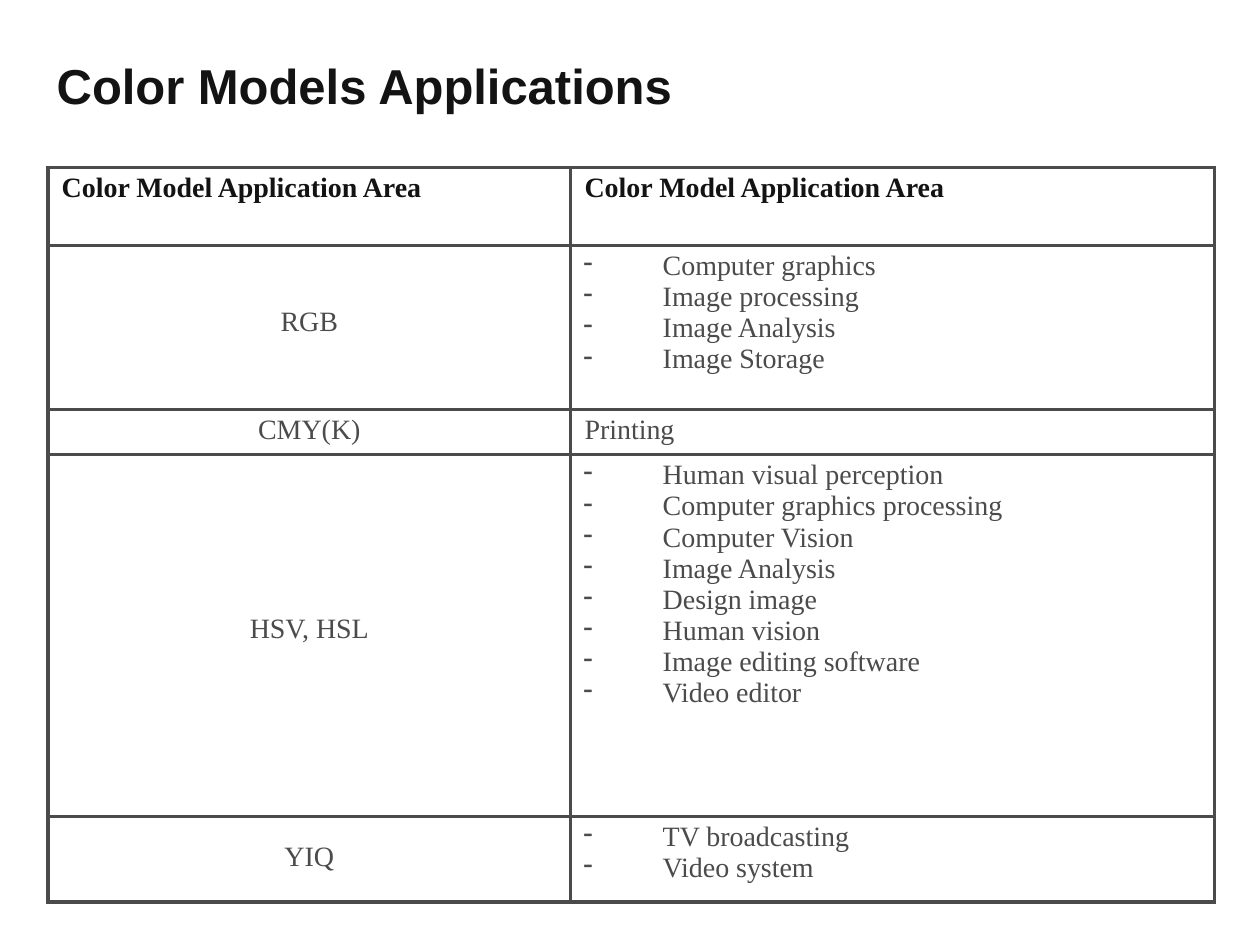
"""Build a slide with a table of color models and their application areas."""
import pptx
import pptx.dml.color
import pptx.enum.text
import pptx.oxml
import pptx.oxml.ns
import pptx.util
from lxml import etree
from pptx.util import Inches

COLORS = {"heading": "131313", "body": "4B4B4B", "border": "4B4B4B"}
FORMATS = {
    "title": {"name": "Arial", "size": pptx.util.Pt(28), "bold": True},
    "heading": {"name": "Times New Roman", "size": pptx.util.Pt(16), "bold": True},
    "body": {"name": "Times New Roman", "size": pptx.util.Pt(16), "bold": False},
}
NAMESPACE = pptx.oxml.ns.nsdecls("a")
HEADING = "Color Model Application Area"
MODELS = [
    ("RGB", 1.3, 0.48, ["Computer graphics", "Image processing",
                        "Image Analysis", "Image Storage"]),
    ("CMY(K)", 0.36, 0.04, ["Printing"]),
    ("HSV, HSL", 2.87, 1.26, ["Human visual perception", "Computer graphics processing",
                              "Computer Vision", "Image Analysis", "Design image",
                              "Human vision", "Image editing software", "Video editor"]),
    ("YIQ", 0.68, 0.2, ["TV broadcasting", "Video system"]),
]


def write(paragraph, text, style, color, left=0, bullet=False):
    properties = paragraph._p.get_or_add_pPr()
    properties.set("marL", str(Inches(left)))
    properties.set("indent", str(Inches(-0.63 if bullet else 0)))
    if bullet:
        properties.append(pptx.oxml.parse_xml(
            f'<a:buClr {NAMESPACE}><a:srgbClr val="{COLORS[color]}"/></a:buClr>'))
        etree.SubElement(properties, pptx.oxml.ns.qn("a:buChar"), char="-")
    run = paragraph.add_run()
    run.text = text
    for attribute, value in FORMATS[style].items():
        setattr(run.font, attribute, value)
    run.font.color.rgb = pptx.dml.color.RGBColor.from_string(COLORS[color])


def prepare(cell, top):
    margins = {"margin_left": 0, "margin_right": 0, "margin_bottom": 0,
               "margin_top": Inches(top)}
    for attribute, value in margins.items():
        setattr(cell, attribute, value)
    properties = cell._tc.get_or_add_tcPr()
    for side in "LRTB":
        properties.append(pptx.oxml.parse_xml(
            f'<a:ln{side} {NAMESPACE} w="{pptx.util.Pt(2.25)}"><a:solidFill>'
            f'<a:srgbClr val="{COLORS["border"]}"/></a:solidFill></a:ln{side}>'))
    cell.fill.background()


presentation = pptx.Presentation()
presentation.slide_width = Inches(10)
presentation.slide_height = Inches(7.5)
slide = presentation.slides.add_slide(presentation.slide_layouts[6])

heights = [0.62] + [height for _, height, _, _ in MODELS]
widths = [4.15, 5.11]
models_table = slide.shapes.add_table(
    len(heights), len(widths), Inches(0.38), Inches(1.33),
    Inches(sum(widths)), Inches(sum(heights))).table
models_table.first_row = False
models_table.horz_banding = False
for column, width in zip(models_table.columns, widths):
    column.width = Inches(width)
for row, height in zip(models_table.rows, heights):
    row.height = Inches(height)

for heading_cell in models_table.rows[0].cells:
    prepare(heading_cell, 0.04)
    write(heading_cell.text_frame.paragraphs[0], HEADING, "heading", "heading", 0.11)

for index, (model, _, top, areas) in enumerate(MODELS, start=1):
    model_cell, areas_cell = models_table.rows[index].cells
    prepare(model_cell, top)
    prepare(areas_cell, 0.04)
    model_line = model_cell.text_frame.paragraphs[0]
    model_line.alignment = pptx.enum.text.PP_ALIGN.CENTER
    write(model_line, model, "body", "body")
    bulleted = len(areas) > 1
    for position, area in enumerate(areas):
        frame = areas_cell.text_frame
        area_line = frame.add_paragraph() if position else frame.paragraphs[0]
        write(area_line, area, "body", "body", 0.73 if bulleted else 0.11, bulleted)

title = slide.shapes.add_textbox(Inches(0.44), Inches(0.43), Inches(4.92), Inches(0.49))
title_format = {"margin_left": 0, "margin_right": 0, "margin_bottom": 0,
                "margin_top": Inches(0.01), "word_wrap": True}
for attribute, value in title_format.items():
    setattr(title.text_frame, attribute, value)
write(title.text_frame.paragraphs[0], "Color Models Applications", "title", "heading", 0.01)

presentation.save("out.pptx")
